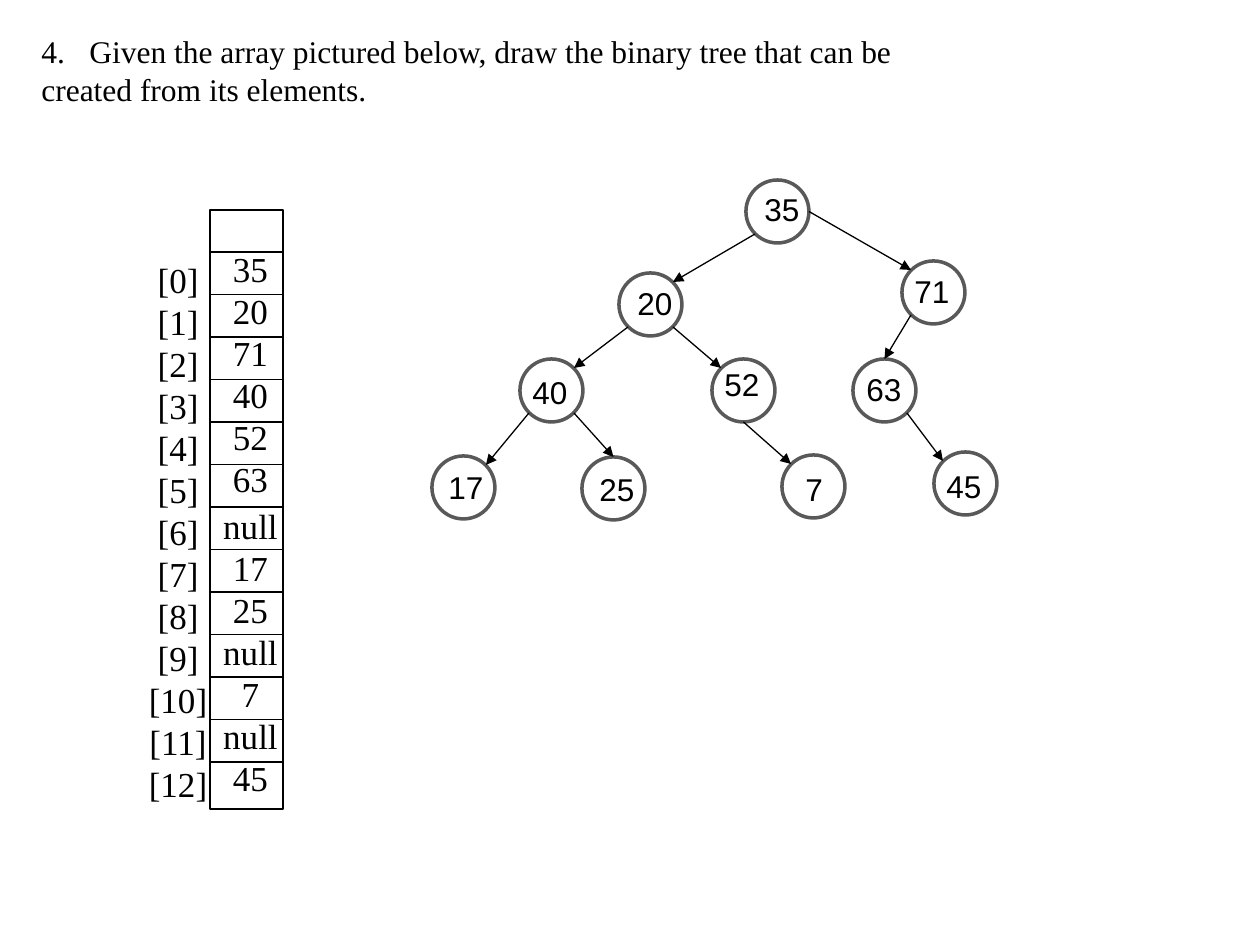
from lxml.etree import SubElement
from pptx import Presentation
from pptx.dml.color import RGBColor
from pptx.enum.shapes import MSO_CONNECTOR, MSO_SHAPE
from pptx.enum.text import PP_ALIGN
from pptx.oxml.ns import qn
from pptx.util import Pt

PX = 914400 // 126
HUES = {"ink": "000000", "ring": "595959", "paper": "FFFFFF"}
SERIF = {"name": "Times New Roman", "size": Pt(20)}
HEAD = {"name": "Times New Roman", "size": Pt(18)}
SANS = {"name": "Arial", "size": Pt(18)}

deck = Presentation()
deck.slide_width, deck.slide_height = 1260 * PX, 945 * PX
slide = deck.slides.add_slide(deck.slide_layouts[6])
shapes = slide.shapes


def add_text(box, lines, form, align=PP_ALIGN.LEFT):
    frame = shapes.add_textbox(*[n * PX for n in box]).text_frame
    frame.word_wrap = False
    frame.text = "\n".join(lines)
    for para in frame.paragraphs:
        para.alignment = align
        font = para.runs[0].font
        font.color.rgb = RGBColor.from_string(HUES["ink"])
        for key, value in form.items():
            setattr(font, key, value)
    return frame.paragraphs


def add_line(start, end, arrow=False):
    line = shapes.add_connector(
        MSO_CONNECTOR.STRAIGHT, *[round(n * PX) for n in (*start, *end)])
    line.line.color.rgb = RGBColor.from_string(HUES["ink"])
    line.line.width = Pt(0.75)
    if arrow:
        SubElement(line.line._get_or_add_ln(), qn("a:tailEnd"), type="triangle")
    SubElement(line._element.spPr, qn("a:effectLst"))


# Question
paras = add_text((29, 26, 885, 90), [
    "Given the array pictured below, draw the binary tree that can be",
    "created from its elements."], HEAD)
props = paras[0]._p.get_or_add_pPr()
props.set("marL", str(48 * PX))
props.set("indent", str(-48 * PX))
SubElement(props, qn("a:buAutoNum"), type="arabicPeriod", startAt="4")

# Array frame and row lines
frame = shapes.add_shape(
    MSO_SHAPE.RECTANGLE, *[n * PX for n in (210, 210, 73, 599)])
frame.shadow.inherit = False
frame.fill.background()
frame.line.color.rgb = RGBColor.from_string(HUES["ink"])
frame.line.width = Pt(0.75)
for row in range(13):
    y = 252 + row * 42.5
    add_line((210, y), (283, y))

# Array indexes and values
cells = "35 20 71 40 52 63 null 17 25 null 7 null 45".split()
add_text((136, 252, 84, 564), [f"[{i}]" for i in range(len(cells))],
         SERIF, PP_ALIGN.CENTER)
paras = add_text((210, 241, 81, 564), cells, SERIF, PP_ALIGN.CENTER)
paras[cells.index("null")].space_before = Pt(3)

# Tree nodes: circle corner, then label offset
SIZE = 63
nodes = {
    "35": (746, 180, 6, 4),
    "20": (619, 273, 6, 5),
    "71": (902, 261, 0, 5),
    "40": (520, 359, 0, 8),
    "52": (712, 359, 0, 0),
    "63": (853, 359, 1, 5),
    "17": (432, 456, 4, 6),
    "25": (582, 457, 5, 7),
    "7": (782, 455, 11, 9),
    "45": (934, 452, 0, 9),
}
for x, y, *_ in nodes.values():
    ring = shapes.add_shape(
        MSO_SHAPE.OVAL, *[n * PX for n in (x, y, SIZE, SIZE)])
    ring.shadow.inherit = False
    ring.fill.solid()
    ring.fill.fore_color.rgb = RGBColor.from_string(HUES["paper"])
    ring.line.color.rgb = RGBColor.from_string(HUES["ring"])
    ring.line.width = Pt(2)

# Tree edges between points on the circles
NEAR, MID, FAR = 9, SIZE / 2, SIZE - 9
sites = {
    "top": (MID, 0), "right": (SIZE, MID), "bottom": (MID, SIZE),
    "nw": (NEAR, NEAR), "ne": (FAR, NEAR),
    "sw": (NEAR, FAR), "se": (FAR, FAR),
}
edges = [
    ("35", "sw", "20", "ne"), ("35", "right", "71", "nw"),
    ("20", "sw", "40", "ne"), ("20", "se", "52", "nw"),
    ("71", "sw", "63", "top"), ("63", "se", "45", "nw"),
    ("40", "sw", "17", "ne"), ("40", "se", "25", "top"),
    ("52", "bottom", "7", "nw"),
]
for head, out, child, into in edges:
    ends = [[a + b for a, b in zip(nodes[key], sites[site])]
            for key, site in ((head, out), (child, into))]
    add_line(*ends, arrow=True)

# Node labels
for label, (x, y, dx, dy) in nodes.items():
    add_text((x + dx, y + dy, 25 + 18 * len(label), 50), [label], SANS)

deck.save("out.pptx")
